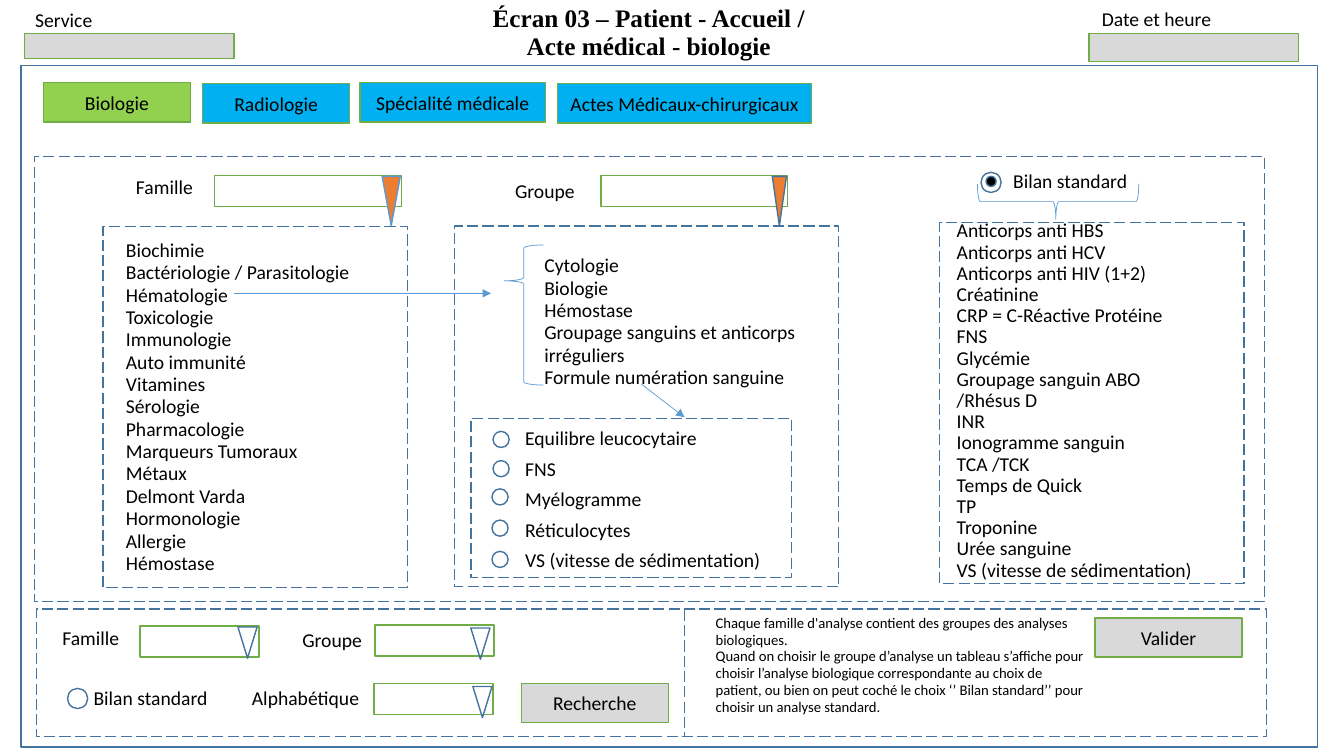
from lxml import etree
from pptx import Presentation
from pptx.dml.color import RGBColor
from pptx.enum.dml import MSO_LINE
from pptx.enum.shapes import MSO_CONNECTOR, MSO_SHAPE
from pptx.enum.text import MSO_ANCHOR, PP_ALIGN
from pptx.oxml.ns import qn
from pptx.util import Pt

RECT, OVAL = MSO_SHAPE.RECTANGLE, MSO_SHAPE.OVAL
TRI, BRACE = MSO_SHAPE.ISOSCELES_TRIANGLE, MSO_SHAPE.LEFT_BRACE
DASH, STRAIGHT = MSO_LINE.LONG_DASH, MSO_CONNECTOR.STRAIGHT
TOP, MID, LOW = MSO_ANCHOR.TOP, MSO_ANCHOR.MIDDLE, MSO_ANCHOR.BOTTOM
LEFT, CENTER = PP_ALIGN.LEFT, PP_ALIGN.CENTER
PX = 9144
NAVY, SKY, GREEN = "43739E", "5B9BD5", "70AD47"
GRAY, BLUE, LIME, ORANGE, BLACK = "D9D9D9", "00B0F0", "92D050", "ED7D31", "000000"

TITLE = "Écran 03 – Patient - Accueil /\vActe médical - biologie"
SCREEN = (21, 65, 1286, 676)
PANELS = [
    (34, 155, 1220, 442), (36, 604, 1220, 127), (102, 225, 302, 358),
    (932, 221, 302, 358), (451, 224, 381, 358), (467, 415, 318, 158),
]
INPUTS = [
    (213, 174, 185, 31), (596, 174, 185, 31), (139, 621, 118, 31),
    (372, 620, 118, 31), (371, 678, 118, 31),
]
STATUS = [(24, 33, 208, 25), (1080, 33, 208, 28)]
BUTTONS = [
    ("Biologie", (43, 82, 146, 39), LIME),
    ("Radiologie", (201, 83, 146, 39), BLUE),
    ("Spécialité médicale", (357, 82, 184, 39), BLUE),
    ("Actes Médicaux-chirurgicaux", (553, 83, 252, 39), BLUE),
    ("Recherche", (517, 678, 146, 39), GRAY),
    ("Valider", (1086, 613, 146, 39), GRAY),
]
ARROWS = [
    ((379, 175, 18, 49), ORANGE, SKY), ((766, 175, 14, 49), ORANGE, NAVY),
    ((236, 622, 19, 31), None, NAVY), ((467, 623, 19, 31), None, NAVY),
    ((469, 681, 19, 31), None, NAVY),
]
RADIOS = [
    (489, 428, 16), (489, 457, 16), (488, 485, 16), (488, 516, 16),
    (488, 547, 16), (67, 683, 20), (973, 171, 20),
]
DOT = (978, 175, 10, 10)
BRACES = [
    ((1032, 120, 35, 160), 0.486, 270),
    ((500, 243, 39, 139), 0.256, 0),
]
LABELS = [
    ("Famille", (125, 165, 85, 43)), ("Groupe", (501, 171, 99, 38)),
    ("Bilan standard", (995, 161, 138, 38)), ("Famille", (52, 615, 86, 38)),
    ("Groupe", (290, 617, 81, 38)), ("Bilan standard", (83, 674, 136, 38)),
    ("Alphabétique", (240, 674, 132, 38)),
]
HEADS = [("Service", (25, 3, 140, 34)), ("Date et heure", (1083, 2, 130, 34))]
FAMILIES = [
    "Biochimie", "Bactériologie / Parasitologie", "Hématologie", "Toxicologie",
    "Immunologie", "Auto immunité", "Vitamines", "Sérologie", "Pharmacologie",
    "Marqueurs Tumoraux", "Métaux", "Delmont Varda", "Hormonologie", "Allergie",
    "Hémostase",
]
GROUPS = [
    "Cytologie", "Biologie", "Hémostase",
    "Groupage sanguins et anticorps irréguliers", "Formule numération sanguine",
]
TESTS = [
    "Equilibre leucocytaire", "FNS", "Myélogramme", "Réticulocytes",
    "VS (vitesse de sédimentation)",
]
BASICS = [
    "Anticorps anti HBS", "Anticorps anti HCV", "Anticorps anti HIV (1+2)",
    "Créatinine", "CRP = C-Réactive Protéine", "FNS", "Glycémie",
    "Groupage sanguin ABO /Rhésus D", "INR", "Ionogramme sanguin", "TCA /TCK",
    "Temps de Quick", "TP", "Troponine", "Urée sanguine",
    "VS (vitesse de sédimentation)",
]
HELP = [
    "Chaque famille d'analyse contient des groupes des analyses biologiques.",
    "Quand on choisir le groupe d’analyse un tableau s’affiche pour choisir "
    "l’analyse biologique correspondante au choix de patient, ou bien on peut "
    "coché le choix ‘’ Bilan standard’’ pour choisir un analyse standard.",
]
LINKS = [(232, 291, 487, 291), (636, 381, 679, 414)]
SPLIT = (679, 605, 679, 731)

deck = Presentation()
deck.slide_width, deck.slide_height = 1333 * PX, 750 * PX
slide = deck.slides.add_slide(deck.slide_layouts[6])


def emu(box):
    return [n * PX for n in box]


def color(code):
    return RGBColor.from_string(code)


def stroke(line, code, width=1, dash=None):
    line.color.rgb = color(code)
    line.width = Pt(width)
    if dash:
        line.dash_style = dash


def shape(kind, box, line, fill=None, width=1, dash=None):
    item = slide.shapes.add_shape(kind, *emu(box))
    item.shadow.inherit = False
    if fill:
        item.fill.solid()
        item.fill.fore_color.rgb = color(fill)
    else:
        item.fill.background()
    stroke(item.line, line, width, dash)
    return item


def write(item, rows, size=14, font="Calibri", bold=False, align=LEFT,
          anchor=MID, lead=0.95, gap=0):
    frame = item.text_frame
    frame.text = "\n".join(rows)
    frame.word_wrap = True
    frame.vertical_anchor = anchor
    for para in frame.paragraphs:
        para.alignment = align
        para.line_spacing = lead
        para.space_after = Pt(gap)
        for run in para.runs:
            run.font.size = Pt(size)
            run.font.name = font
            run.font.bold = bold
            run.font.color.rgb = color(BLACK)


def text(rows, box, **style):
    write(slide.shapes.add_textbox(*emu(box)), rows, **style)


def link(ends, code, width, dash=None, head=False):
    item = slide.shapes.add_connector(STRAIGHT, *emu(ends))
    stroke(item.line, code, width, dash)
    if head:
        etree.SubElement(item.line._get_or_add_ln(), qn("a:tailEnd"), type="triangle")
    etree.SubElement(item._element.spPr, qn("a:effectLst"))


shape(RECT, SCREEN, NAVY)
for box in PANELS:
    shape(RECT, box, NAVY, dash=DASH)
for box in INPUTS:
    shape(RECT, box, GREEN)
for box in STATUS:
    shape(RECT, box, GREEN, GRAY)
for name, box, fill in BUTTONS:
    write(shape(RECT, box, GREEN, fill), [name], align=CENTER, lead=1.0)
for box, fill, line in ARROWS:
    shape(TRI, box, line, fill).rotation = 180
for x, y, size in RADIOS:
    shape(OVAL, (x, y, size, size), NAVY)
shape(OVAL, DOT, NAVY, BLACK)
for box, peak, turn in BRACES:
    brace = shape(BRACE, box, SKY, width=0.5)
    brace.adjustments[0] = 0.083
    brace.adjustments[1] = peak
    brace.rotation = turn

link(SPLIT, NAVY, 1, dash=DASH)
for ends in LINKS:
    link(ends, SKY, 0.5, head=True)

text([TITLE], (467, 7, 353, 59), size=18, font="Times New Roman", bold=True,
     align=CENTER, anchor=LOW)
for name, box in HEADS:
    text([name], box, anchor=TOP, lead=1.0)
for name, box in LABELS:
    text([name], box)
text(FAMILIES, (115, 227, 255, 354))
text(GROUPS, (530, 239, 295, 161))
text(TESTS, (511, 424, 328, 144), gap=5.8)
text(BASICS, (939, 221, 255, 354), lead=0.9)
text(HELP, (700, 603, 385, 114), size=10.5)

deck.save("out.pptx")
